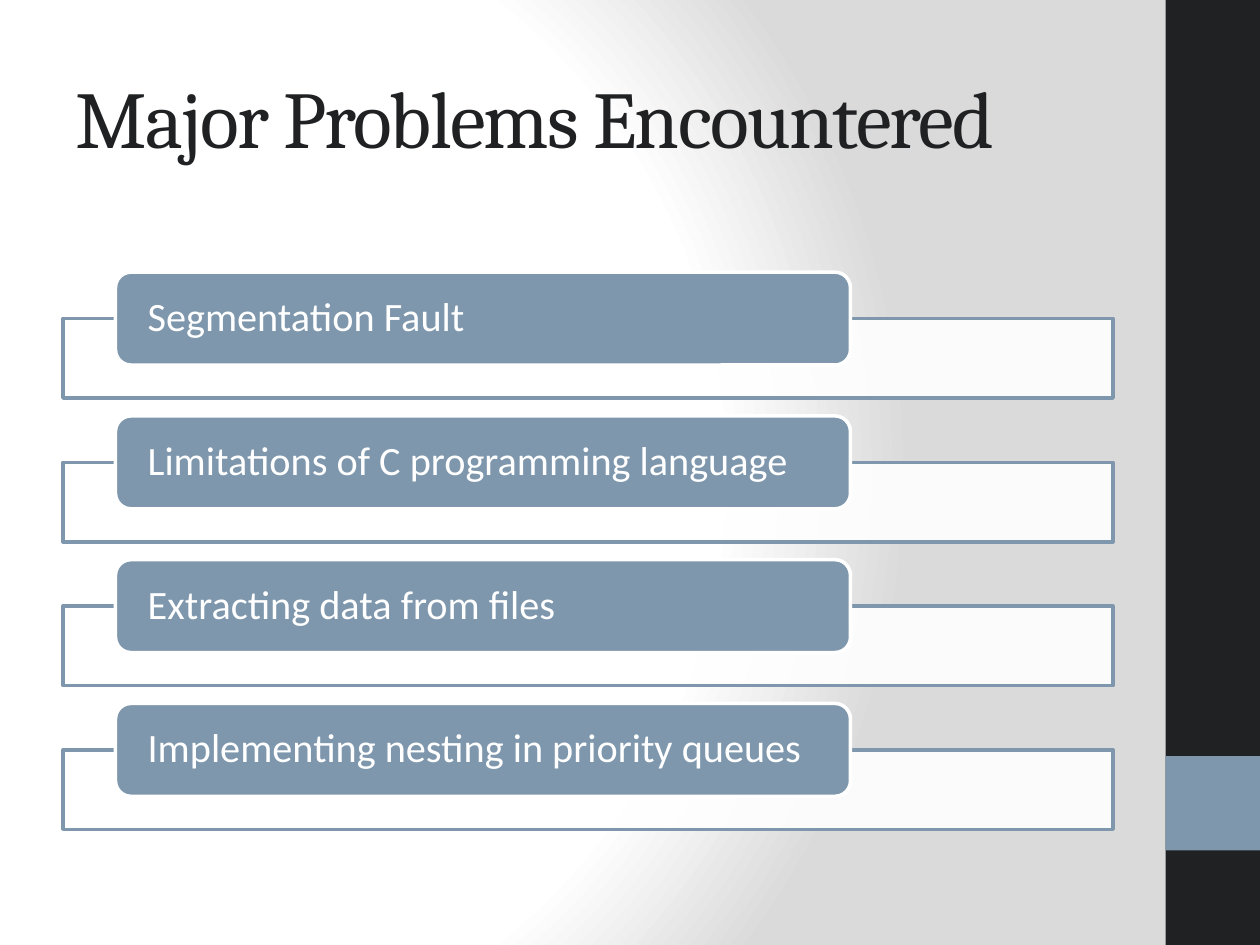
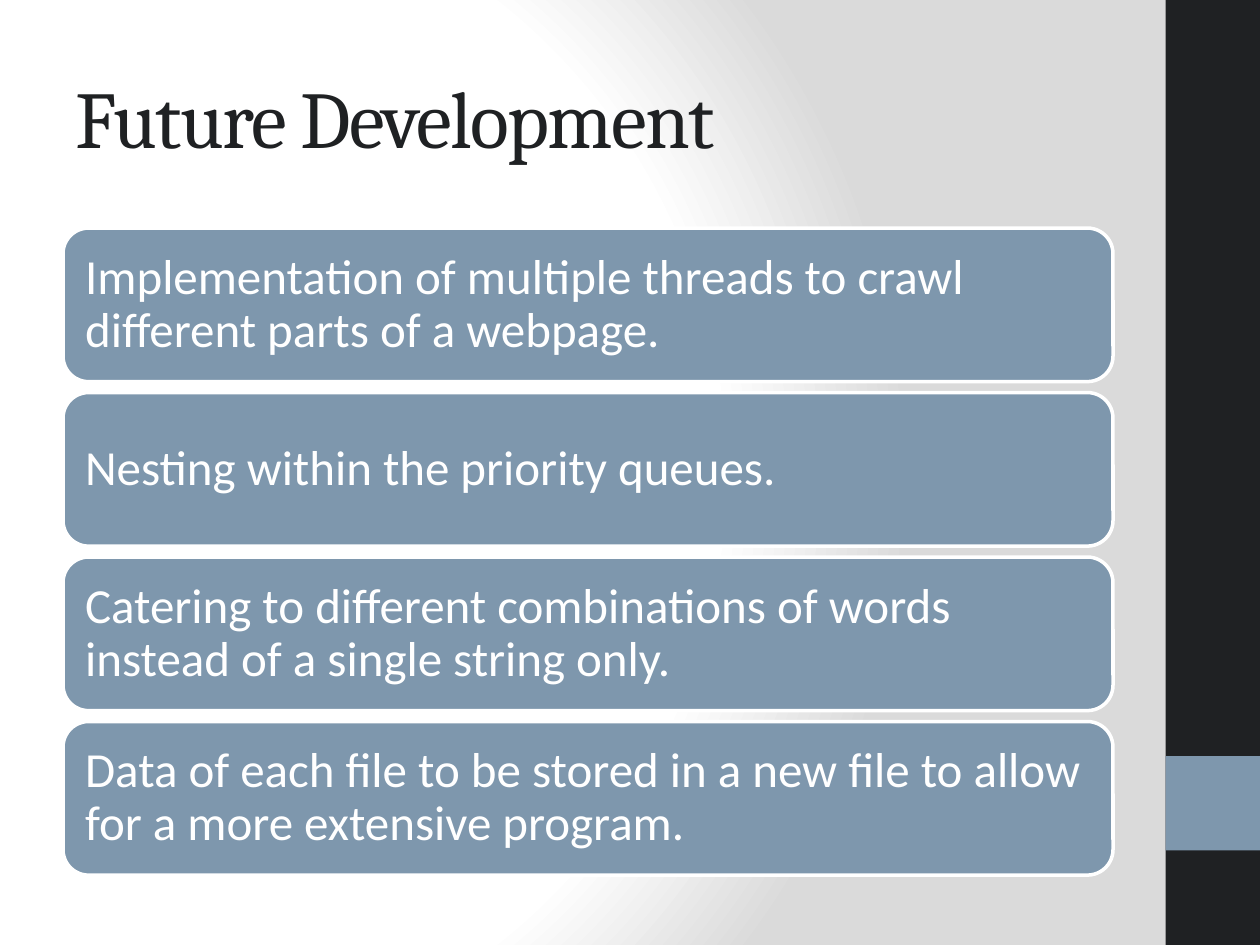
from dataclasses import dataclass

from pptx import Presentation
from pptx import util as u
from pptx import oxml
from pptx.dml.color import RGBColor
from pptx.enum import shapes, text
from pptx.oxml import ns

WHITE = RGBColor(0xFF, 0xFF, 0xFF)
SILVER = RGBColor(0xDA, 0xDA, 0xDA)
INK = RGBColor(0x1F, 0x21, 0x23)
STEEL = RGBColor(0x7E, 0x97, 0xAD)
HEADING_FONT = "Cambria"
BODY_FONT = "Calibri"
PANEL = shapes.MSO_SHAPE.RECTANGLE
CARD = shapes.MSO_SHAPE.ROUNDED_RECTANGLE
LEFT, WIDTH = 36, 600


@dataclass(frozen=True)
class Box:
    left: float
    top: float
    width: float
    height: float

    def lengths(self) -> list:
        return [u.Pt(value) for value in (self.left, self.top, self.width, self.height)]

    def lowered(self, distance: float) -> "Box":
        return Box(self.left, self.top + distance, self.width, self.height)


@dataclass(frozen=True)
class CardStack:
    card: Box
    pitch: float
    size: float
    side_inset: float
    frame: Box | None = None


PROBLEM_STACK = CardStack(Box(66, 155.5, 420, 53.1), 82.15, 23, 15.8,
                          Box(LEFT, 182.1, WIDTH, 45.4))
FUTURE_STACK = CardStack(Box(LEFT, 130.3, WIDTH, 87.8), 94, 28, 8.4)

SLIDES = [
    ("Major Problems Encountered", PROBLEM_STACK, [
        "Segmentation Fault",
        "Limitations of C programming language",
        "Extracting data from files",
        "Implementing nesting in priority queues",
    ]),
    ("Future Development", FUTURE_STACK, [
        "Implementation of multiple threads to crawl different parts of a webpage.",
        "Nesting within the priority queues.",
        "Catering to different combinations of words instead of a single string only.",
        "Data of each file to be stored in a new file to allow for a more extensive program.",
    ]),
]


def write(shape, content: str, *, size: float, font: str, color: RGBColor,
          line_spacing: float = 1.0, tracking: float = 0,
          side_inset: float = 7.2, end_inset: float = 3.6) -> None:
    frame = shape.text_frame
    frame.word_wrap = True
    frame.auto_size = text.MSO_AUTO_SIZE.NONE
    frame.vertical_anchor = text.MSO_ANCHOR.MIDDLE
    frame.margin_left = frame.margin_right = u.Pt(side_inset)
    frame.margin_top = frame.margin_bottom = u.Pt(end_inset)
    paragraph = frame.paragraphs[0]
    paragraph.alignment = text.PP_ALIGN.LEFT
    paragraph.line_spacing = line_spacing
    run = paragraph.add_run()
    run.text = content
    run.font.size = u.Pt(size)
    run.font.name = font
    run.font.color.rgb = color
    if tracking:
        run.font._element.set("spc", str(round(tracking * 100)))


def add_box(slide, kind, box: Box, fill: RGBColor, line: RGBColor | None = None,
            opacity: int = 100):
    shape = slide.shapes.add_shape(kind, *box.lengths())
    shape.shadow.inherit = False
    shape.fill.solid()
    shape.fill.fore_color.rgb = fill
    if opacity < 100:
        color = shape.element.spPr.find(ns.qn("a:solidFill"))[0]
        alpha = color.makeelement(ns.qn("a:alpha"), {"val": str(opacity * 1000)})
        color.append(alpha)
    if line is None:
        shape.line.fill.background()
    else:
        shape.line.color.rgb = line
        shape.line.width = u.Pt(2)
    return shape


def set_background(master) -> None:
    master.background.fill.gradient()
    gradient = master.element.xpath("./p:cSld/p:bg//a:gradFill")[0]
    stops = "".join(
        f'<a:gs pos="{position * 1000}"><a:srgbClr val="{color}"/></a:gs>'
        for position, color in ((0, WHITE), (75, WHITE), (100, SILVER)))
    replacement = oxml.parse_xml(
        f'<a:gradFill {ns.nsdecls("a")} rotWithShape="1"><a:gsLst>{stops}</a:gsLst>'
        '<a:path path="circle"><a:fillToRect l="20000" t="50000" r="100000" b="50000"/>'
        '</a:path></a:gradFill>')
    gradient.getparent().replace(gradient, replacement)


def add_master_bands(master, slide) -> None:
    bands = [(Box(666, 0, 54, 540), INK), (Box(666, 432, 54, 54), STEEL)]
    for index, (box, color) in enumerate(bands):
        band = add_box(slide, PANEL, box, color)
        band.element.nvSpPr.cNvPr.set("id", str(20 + index))
        master.shapes.element.insert(2 + index, band.element)


def add_title(slide, content: str) -> None:
    title = slide.shapes.title
    title.left, title.top, title.width, title.height = Box(LEFT, 21.6, WIDTH, 90).lengths()
    write(title, content, size=46, font=HEADING_FONT, color=INK, tracking=-1)


def add_cards(slide, stack: CardStack, entries: list[str]) -> None:
    for index, entry in enumerate(entries):
        distance = index * stack.pitch
        if stack.frame:
            add_box(slide, PANEL, stack.frame.lowered(distance), WHITE, STEEL, opacity=90)
        card = add_box(slide, CARD, stack.card.lowered(distance), STEEL, WHITE)
        write(card, entry, size=stack.size, font=BODY_FONT, color=WHITE,
              line_spacing=0.9, side_inset=stack.side_inset, end_inset=0)


def main() -> None:
    presentation = Presentation()
    presentation.slide_width, presentation.slide_height = u.Pt(720), u.Pt(540)
    master = presentation.slide_master
    set_background(master)
    for index, (title, stack, entries) in enumerate(SLIDES):
        slide = presentation.slides.add_slide(presentation.slide_layouts[5])
        if index == 0:
            add_master_bands(master, slide)
        add_title(slide, title)
        add_cards(slide, stack, entries)
    presentation.save("out.pptx")


main()
